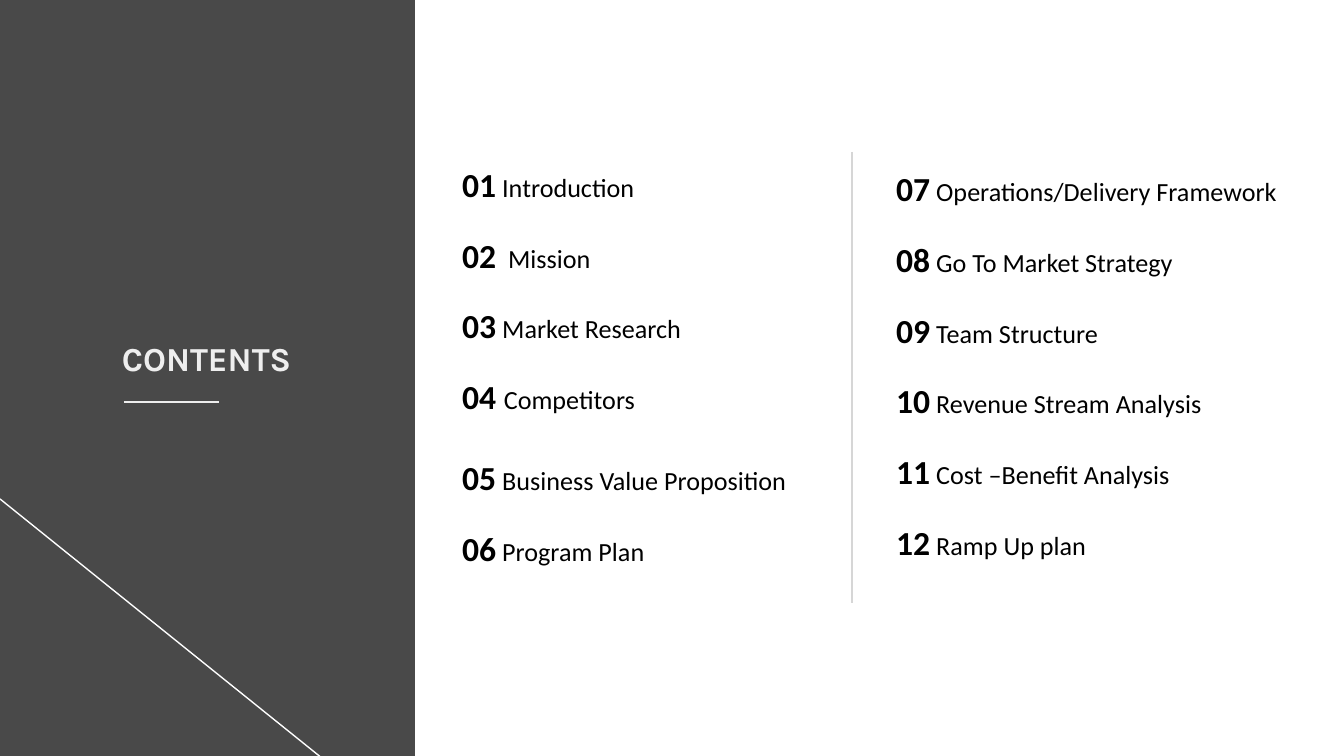
from lxml import etree
from pptx import Presentation
from pptx.dml.color import RGBColor
from pptx.enum.shapes import MSO_CONNECTOR, MSO_SHAPE
from pptx.enum.text import MSO_ANCHOR, MSO_AUTO_SIZE, PP_ALIGN
from pptx.oxml.ns import qn
from pptx.util import Pt

EMU_PER_PX = 914400 / 134.4
RECTANGLE = MSO_SHAPE.RECTANGLE
STRAIGHT = MSO_CONNECTOR.STRAIGHT
TOP = MSO_ANCHOR.TOP
CENTER = PP_ALIGN.CENTER
NO_AUTOFIT = MSO_AUTO_SIZE.NONE
TITLE_ONLY = 5

ITEM_GAP = 16.4
WIDE_GAP = 21.4
WIDE_GAP_BEFORE = "05"

FIRST_HALF = [
    ("01", " Introduction"),
    ("02", "  Mission"),
    ("03", " Market Research"),
    ("04 ", "Competitors"),
    ("05", " Business Value Proposition"),
    ("06", " Program Plan"),
]
SECOND_HALF = [
    ("07", " Operations/Delivery Framework"),
    ("08", " Go To Market Strategy"),
    ("09", " Team Structure"),
    ("10", " Revenue Stream Analysis"),
    ("11", " Cost –Benefit Analysis"),
    ("12", " Ramp Up plan"),
]


def px(length):
    return round(length * EMU_PER_PX)


def color(value):
    return RGBColor.from_string(value)


def format_run(run, font_name, size, font_color, bold):
    run.font.name = font_name
    run.font.size = Pt(size)
    run.font.bold = bold
    run.font.color.rgb = color(font_color)


def add_panel(slide, left, top, width, height, fill):
    panel = slide.shapes.add_shape(RECTANGLE, px(left), px(top), px(width), px(height))
    panel.shadow.inherit = False
    panel.fill.solid()
    panel.fill.fore_color.rgb = color(fill)
    panel.line.color.rgb = color(fill)
    panel.line.width = Pt(0.75)
    slide.shapes.title._element.addprevious(panel._element)


def add_line(slide, start, end, line_color, width):
    line = slide.shapes.add_connector(STRAIGHT, *map(px, start + end))
    line.line.color.rgb = color(line_color)
    line.line.width = Pt(width)
    etree.SubElement(line._element.spPr, qn("a:effectLst"))


def set_title(slide, text, left, top, width, height):
    title = slide.shapes.title
    title.left, title.top = px(left), px(top)
    title.width, title.height = px(width), px(height)
    text_frame = title.text_frame
    text_frame.text = text
    text_frame.auto_size = NO_AUTOFIT
    text_frame.vertical_anchor = TOP
    paragraph = text_frame.paragraphs[0]
    paragraph.alignment = CENTER
    format_run(paragraph.runs[0], "Karla", 18, "EEEEEE", True)


def add_contents_list(slide, items, left, top, width, height):
    box = slide.shapes.add_textbox(px(left), px(top), px(width), px(height))
    text_frame = box.text_frame
    text_frame.word_wrap = True
    for index, (number, label) in enumerate(items):
        paragraph = text_frame.add_paragraph() if index else text_frame.paragraphs[0]
        if index:
            gap = WIDE_GAP if number == WIDE_GAP_BEFORE else ITEM_GAP
            paragraph.space_before = Pt(gap)
        for text, size, bold in ((number, 18, True), (label, 14, False)):
            run = paragraph.add_run()
            run.text = text
            format_run(run, "Calibri", size, "000000", bold)


def main():
    presentation = Presentation()
    presentation.slide_width = px(1344)
    presentation.slide_height = px(756)
    slide = presentation.slides.add_slide(presentation.slide_layouts[TITLE_ONLY])

    add_panel(slide, 0, 0, 414, 767, "494949")
    set_title(slide, "CONTENTS", -69, 331, 551, 54)
    add_contents_list(slide, FIRST_HALF, 449, 157, 401, 583)
    add_contents_list(slide, SECOND_HALF, 883, 161, 441, 448)
    add_line(slide, (124, 402), (219, 402), "EEEEEE", 1.5)
    add_line(slide, (0, 499), (333, 767), "FFFFFF", 0.75)
    add_line(slide, (852, 152), (852, 603), "D6D6D6", 0.75)

    presentation.save("out.pptx")


if __name__ == "__main__":
    main()
